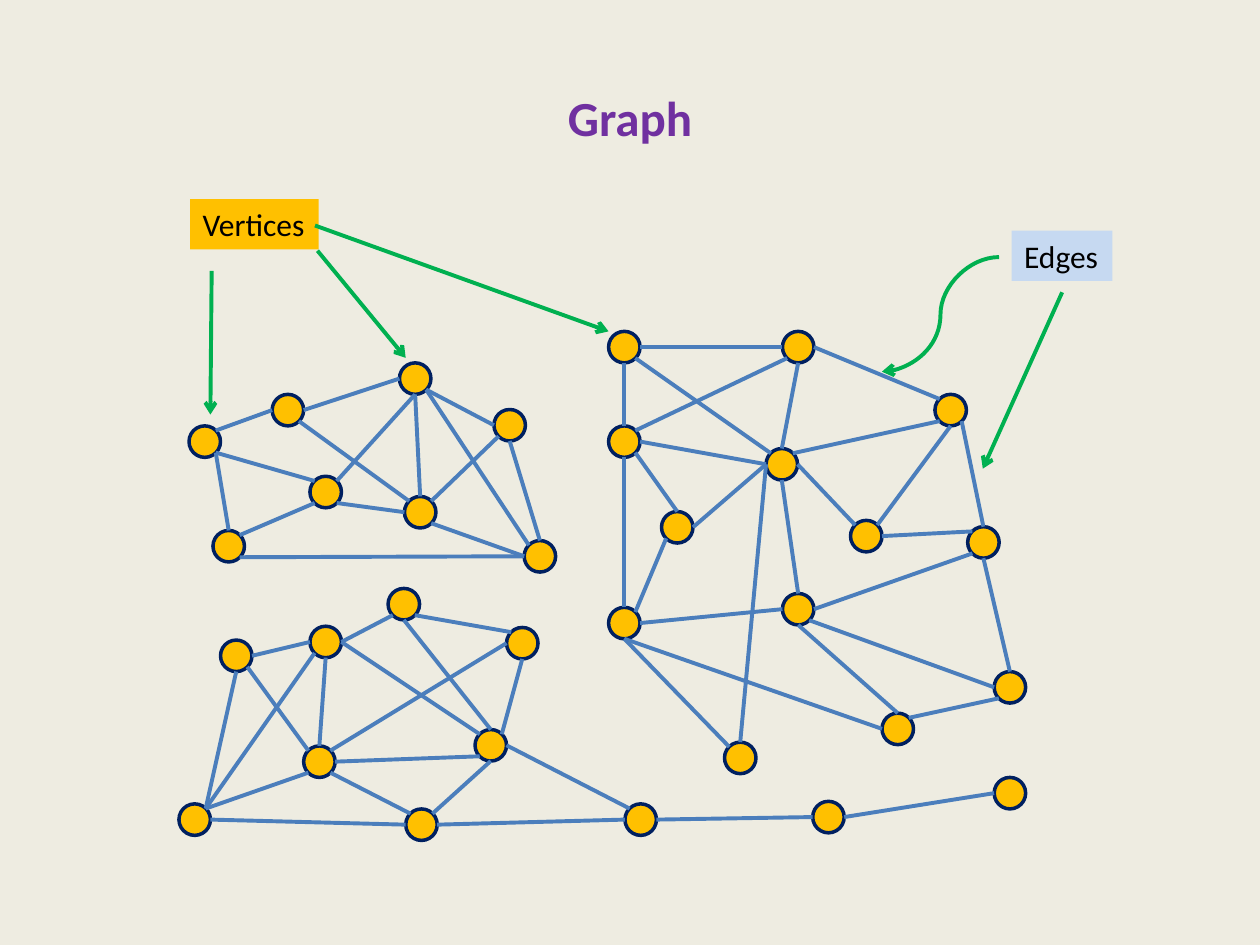
from lxml.etree import SubElement
from pptx import Presentation
from pptx.dml.color import RGBColor
from pptx.enum.shapes import MSO_CONNECTOR, MSO_SHAPE
from pptx.enum.text import MSO_ANCHOR, MSO_AUTO_SIZE, PP_ALIGN
from pptx.oxml.ns import qn
from pptx.util import Inches, Pt

COLORS = {
    "background": "EEECE1", "title": "7030A0", "text": "000000",
    "vertex": "FFC000", "rim": "002060", "edge": "4B7EBC",
    "pointer": "00B050", "edge_label": "C6D9F1",
}
DIAMETER = 0.25

# Points on a vertex rim, as shares of its diameter
SITES = {
    "N": (0.5, 0), "NE": (0.85, 0.15), "E": (1, 0.5), "SE": (0.85, 0.85),
    "S": (0.5, 1), "SW": (0.15, 0.85), "W": (0, 0.5), "NW": (0.15, 0.15),
}

# Top left corner of every vertex: a upper left, b lower, c right
VERTICES = {
    "a1": (1.5, 3.38), "a2": (2.16, 3.13), "a3": (1.69, 4.21), "a4": (2.46, 3.78),
    "a5": (3.21, 3.94), "a6": (3.17, 2.88), "a7": (3.92, 3.25), "a8": (4.16, 4.29),
    "b1": (1.75, 5.08), "b2": (2.46, 4.97), "b3": (3.08, 4.67), "b4": (4.02, 4.98),
    "b5": (2.41, 5.92), "b6": (3.77, 5.79), "b7": (1.42, 6.38), "b8": (3.22, 6.42),
    "b9": (4.96, 6.38), "b10": (6.45, 6.36), "b11": (7.89, 6.17),
    "c1": (4.83, 2.63), "c2": (6.21, 2.63), "c3": (7.42, 3.13), "c4": (4.83, 3.38),
    "c5": (6.08, 3.56), "c6": (5.25, 4.06), "c7": (6.75, 4.13), "c8": (7.68, 4.18),
    "c9": (4.83, 4.82), "c10": (6.21, 4.71), "c11": (7.89, 5.33), "c12": (7, 5.66),
    "c13": (5.75, 5.89),
}

# Each edge: vertex, site, vertex, site
EDGES = """
a1 NE a2 W, a2 E a6 W, a6 SE a7 W, a2 SE a5 NW, a6 S a4 NE, a8 N a7 S,
a8 W a5 SE, a8 W a3 SE, a3 NE a4 SW, a1 SE a4 NW, a1 SE a3 N, a5 W a4 SE,
a7 SW a5 NE, a5 N a6 S, a6 SE a8 NW,
b3 SE b4 NW, b5 NE b4 W, b6 NE b4 S, b3 SW b2 E, b6 SW b5 E, b7 NE b1 S,
b2 S b5 N, b8 NW b5 SE, b7 E b8 W, b2 W b1 E, b7 NE b5 SW, b8 E b9 W,
b10 W b9 E, b10 E b11 W, b6 E b9 NW, b2 E b6 NW, b1 SE b5 NW, b2 SW b7 NE,
b6 S b8 NE, b3 S b6 N,
c9 E c10 W, c4 E c5 W, c1 E c2 W, c1 S c4 N, c5 NE c3 SW, c13 NW c9 S,
c4 S c9 N, c5 S c10 N, c2 E c3 NW, c8 N c3 SE, c10 E c8 SW, c12 NE c11 SW,
c4 SE c6 N, c8 S c11 N, c5 W c13 N, c10 S c12 N, c7 E c8 NW, c5 W c6 E,
c9 NE c6 SW, c7 NE c3 S, c9 S c12 W, c2 S c5 N, c11 W c10 SE, c1 SE c5 NW,
c2 SW c4 NE, c5 E c7 NW
"""

LABELS = [
    ("Vertices", (1.51, 1.58, 1.02, 0.4), "vertex"),
    ("Edges", (8.03, 1.83, 0.8, 0.4), "edge_label"),
]
POINTERS = [
    ((2.5, 1.79), (4.83, 2.63)),
    ((2.52, 1.99), (3.22, 2.84)),
    ((1.68, 2.15), (1.67, 3.29)),
    ((8.43, 2.32), (7.8, 3.72)),
]


def color(name):
    return RGBColor.from_string(COLORS[name])


def site_point(vertex, site):
    return [corner + DIAMETER * share
            for corner, share in zip(VERTICES[vertex], SITES[site])]


class GraphPage:
    font = "Calibri"
    line_width = Pt(2.25)

    def __init__(self, deck):
        self.page = deck.slides.add_slide(deck.slide_layouts[5])
        fill = self.page.background.fill
        fill.solid()
        fill.fore_color.rgb = color("background")

    def add_text(self, box, text, size, ink, align, bold=False):
        para = box.text_frame.paragraphs[0]
        para.alignment = align
        span = para.add_run()
        span.text = text
        formats = {"name": self.font, "size": Pt(size), "bold": bold}
        for key, value in formats.items():
            setattr(span.font, key, value)
        span.font.color.rgb = color(ink)

    def title(self, text, place):
        box = self.page.shapes.title
        for key, value in zip(("left", "top", "width", "height"), place):
            setattr(box, key, Inches(value))
        box.text_frame.vertical_anchor = MSO_ANCHOR.MIDDLE
        self.add_text(box, text, 28, "title", PP_ALIGN.CENTER, bold=True)

    def shape(self, kind, place, fill):
        shape = self.page.shapes.add_shape(kind, *map(Inches, place))
        shape.shadow.inherit = False
        shape.fill.solid()
        shape.fill.fore_color.rgb = color(fill)
        return shape

    def vertex(self, corner):
        circle = self.shape(MSO_SHAPE.OVAL, (*corner, DIAMETER, DIAMETER), "vertex")
        circle.line.color.rgb = color("rim")
        circle.line.width = Pt(2)

    def label(self, text, place, fill):
        box = self.shape(MSO_SHAPE.RECTANGLE, place, fill)
        box.line.fill.background()
        formats = {"word_wrap": False, "auto_size": MSO_AUTO_SIZE.SHAPE_TO_FIT_TEXT,
                   "vertical_anchor": MSO_ANCHOR.TOP}
        for key, value in formats.items():
            setattr(box.text_frame, key, value)
        self.add_text(box, text, 18, "text", PP_ALIGN.LEFT)

    def line(self, start, end, ink, kind=MSO_CONNECTOR.STRAIGHT):
        line = self.page.shapes.add_connector(kind, *map(Inches, (*start, *end)))
        line.line.color.rgb = color(ink)
        line.line.width = self.line_width
        SubElement(line._element.spPr, qn("a:effectLst"))
        return line

    def pointer(self, start, end, kind=MSO_CONNECTOR.STRAIGHT):
        arrow = self.line(start, end, "pointer", kind)
        outline = arrow._element.spPr.find(qn("a:ln"))
        SubElement(outline, qn("a:tailEnd"), type="arrow")


deck = Presentation()
deck.slide_width, deck.slide_height = Inches(10), Inches(7.5)
graph = GraphPage(deck)
graph.title("Graph", (0.5, 0.3, 9, 1.25))

# Vertices and edges
for corner in VERTICES.values():
    graph.vertex(corner)
for edge in EDGES.split(","):
    first, leave, second, arrive = edge.split()
    graph.line(site_point(first, leave), site_point(second, arrive), "edge")

# Labels and their pointers
for text, place, fill in LABELS:
    graph.label(text, place, fill)
for start, end in POINTERS:
    graph.pointer(start, end)
graph.pointer((7.93, 2.04), (7, 2.95), MSO_CONNECTOR.CURVE)

deck.save("out.pptx")
